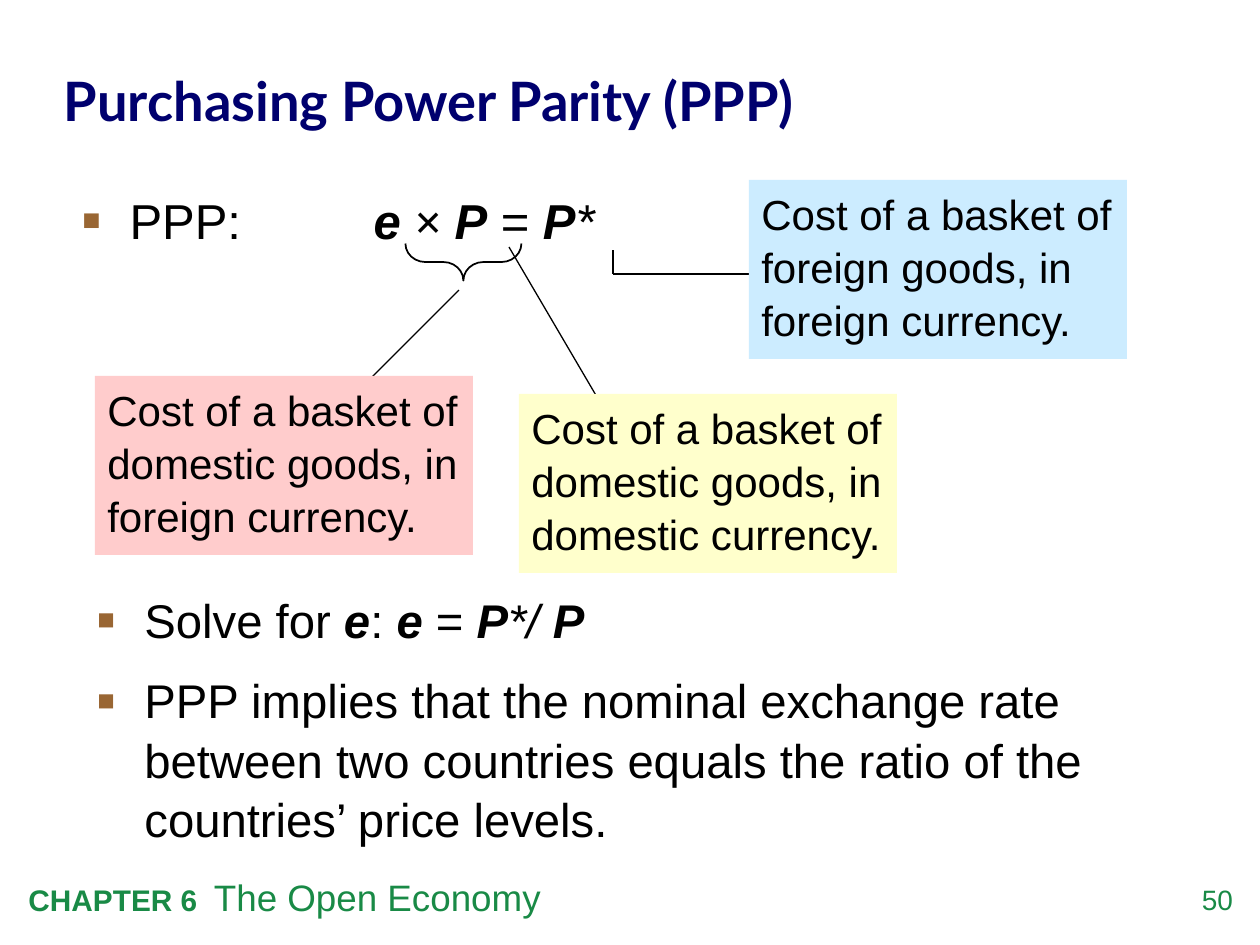
from dataclasses import dataclass
from typing import NamedTuple, Optional

from lxml import etree
from pptx import Presentation
from pptx import util as u
from pptx.dml.color import RGBColor
from pptx.enum import shapes, text
from pptx.oxml.ns import qn

EMU_PER_PX = 914400 / 126
COLORS = {
    "ink": "000000",
    "title": "00006E",
    "footer": "198A46",
    "bullet": "996633",
    "pink": "FFCCCC",
    "yellow": "FFFFCC",
    "blue": "CCECFF",
}


class Area(NamedTuple):
    left: int
    top: int
    width: int
    height: int


class Run(NamedTuple):
    text: str
    bold: bool = False
    italic: bool = False
    font: Optional[str] = None
    size: Optional[int] = None


class Leader(NamedTuple):
    x1: int
    y1: int
    x2: int
    y2: int


@dataclass
class Callout:
    words: str
    left: int
    top: int
    color: str
    leaders: list[Leader]


CALLOUT_WIDTH, CALLOUT_HEIGHT = 378, 179
CALLOUTS = [
    Callout("Cost of a basket of domestic goods, in foreign currency.",
            95, 376, "pink", [Leader(459, 290, 359, 390)]),
    Callout("Cost of a basket of domestic goods, in domestic currency.",
            519, 394, "yellow", [Leader(614, 426, 509, 247)]),
    Callout("Cost of a basket of foreign goods, in foreign currency.",
            749, 180, "blue", [Leader(770, 274, 613, 274), Leader(613, 274, 613, 250)]),
]

EQUATION = [
    Run("PPP:\t"),
    Run("e ", True, True),
    Run("× ", True, font="Times New Roman"),
    Run("P", True, True),
    Run(" = "),
    Run("P", True, True),
    Run("*", italic=True),
]
SOLUTION = [
    Run("Solve for "),
    Run("e", True, True),
    Run(": "),
    Run("e ", True, True),
    Run("= "),
    Run("P", True, True),
    Run("*/ ", italic=True),
    Run("P", True, True),
]
CONCLUSION = [
    Run("PPP implies that the nominal exchange rate between two countries "
        "equals the ratio of the countries’ price levels."),
]


def px(length: float) -> u.Emu:
    return u.Emu(round(length * EMU_PER_PX))


def rgb(name: str) -> RGBColor:
    return RGBColor.from_string(COLORS[name])


def place(shape, area: Area) -> None:
    shape.left, shape.top, shape.width, shape.height = map(px, area)


def prepare_frame(shape, anchor=text.MSO_ANCHOR.TOP, inset: bool = True):
    """Make the text wrap at a fixed size and return its frame."""
    frame = shape.text_frame
    frame.word_wrap = True
    frame.auto_size = text.MSO_AUTO_SIZE.NONE
    frame.vertical_anchor = anchor
    if not inset:
        frame.margin_left = frame.margin_right = 0
        frame.margin_top = frame.margin_bottom = 0
    return frame


def write(paragraph, runs: list[Run], size: int, color: str = "ink",
          font: str = "Arial", align=text.PP_ALIGN.LEFT) -> None:
    paragraph.alignment = align
    paragraph.font.name = font
    paragraph.font.size = u.Pt(size)
    paragraph.font.color.rgb = rgb(color)
    shared_bold = all(part.bold for part in runs)
    paragraph.font.bold = shared_bold
    for part in runs:
        run = paragraph.add_run()
        run.text = part.text
        if part.bold != shared_bold:
            run.font.bold = part.bold
        if part.italic:
            run.font.italic = True
        if part.font:
            run.font.name = part.font
        if part.size:
            run.font.size = u.Pt(part.size)


def space_out(paragraph, size: int) -> None:
    paragraph.line_spacing = 1.05
    paragraph.space_before = u.Pt(round(0.45 * size))


def write_bullet(paragraph, runs: list[Run], size: int, tab: int = 0) -> None:
    space_out(paragraph, size)
    props = paragraph._p.get_or_add_pPr()
    props.set("marL", str(px(48)))
    props.set("indent", str(px(-48)))
    bullet_color = etree.SubElement(props, qn("a:buClr"))
    etree.SubElement(bullet_color, qn("a:srgbClr"), val=COLORS["bullet"])
    etree.SubElement(props, qn("a:buSzPct"), val="120000")
    etree.SubElement(props, qn("a:buFont"), typeface="Arial")
    etree.SubElement(props, qn("a:buChar"), char="▪")
    if tab:
        stops = etree.SubElement(props, qn("a:tabLst"))
        etree.SubElement(stops, qn("a:tab"), pos=str(px(tab)), algn="l")
    write(paragraph, runs, size)


def draw_leader(slide, leader: Leader) -> None:
    line = slide.shapes.add_connector(
        shapes.MSO_CONNECTOR.STRAIGHT, *map(px, leader))
    line.line.color.rgb = rgb("ink")
    line.line.width = u.Pt(0.75)
    etree.SubElement(line._element.spPr, qn("a:effectLst"))


def draw_callout(slide, callout: Callout) -> None:
    for leader in callout.leaders:
        draw_leader(slide, leader)
    area = Area(callout.left, callout.top, CALLOUT_WIDTH, CALLOUT_HEIGHT)
    box = slide.shapes.add_shape(shapes.MSO_SHAPE.RECTANGLE, *map(px, area))
    box.shadow.inherit = False
    box.fill.solid()
    box.fill.fore_color.rgb = rgb(callout.color)
    box.line.fill.background()
    paragraph = prepare_frame(box).paragraphs[0]
    space_out(paragraph, 24)
    write(paragraph, [Run(callout.words)], 24)


def draw_brace(slide, area: Area) -> None:
    brace = slide.shapes.add_shape(shapes.MSO_SHAPE.LEFT_BRACE, *map(px, area))
    brace.rotation = 270
    brace.adjustments[0] = 0.54
    brace.shadow.inherit = False
    brace.fill.background()
    brace.line.color.rgb = rgb("ink")
    brace.line.width = u.Pt(1)


def main() -> None:
    deck = Presentation()
    deck.slide_width, deck.slide_height = px(1260), px(945)
    slide = deck.slides.add_slide(deck.slide_layouts[1])
    title, body = slide.placeholders

    number = slide.shapes.add_textbox(*map(px, Area(1164, 883, 69, 40)))
    write(prepare_frame(number, inset=False).paragraphs[0], [Run("50")], 16,
          "footer", align=text.PP_ALIGN.RIGHT)
    chapter = slide.shapes.add_textbox(*map(px, Area(16, 869, 1031, 57)))
    write(prepare_frame(chapter).paragraphs[0],
          [Run("CHAPTER 6  ", True, size=17), Run("The Open Economy")], 21, "footer")

    place(title, Area(64, 33, 1137, 130))
    heading = prepare_frame(title, text.MSO_ANCHOR.MIDDLE, inset=False).paragraphs[0]
    heading.line_spacing = 1.05
    write(heading, [Run("Purchasing Power Parity (PPP)", True)], 31, "title", "Lato")

    place(body, Area(69, 181, 1111, 82))
    write_bullet(prepare_frame(body).paragraphs[0], EQUATION, 28, tab=292)

    draw_brace(slide, Area(445, 204, 37, 116))
    for callout in CALLOUTS:
        draw_callout(slide, callout)

    results = prepare_frame(slide.shapes.add_textbox(*map(px, Area(84, 582, 1050, 284))))
    write_bullet(results.paragraphs[0], SOLUTION, 27)
    write_bullet(results.add_paragraph(), CONCLUSION, 27)
    deck.save("out.pptx")


if __name__ == "__main__":
    main()
